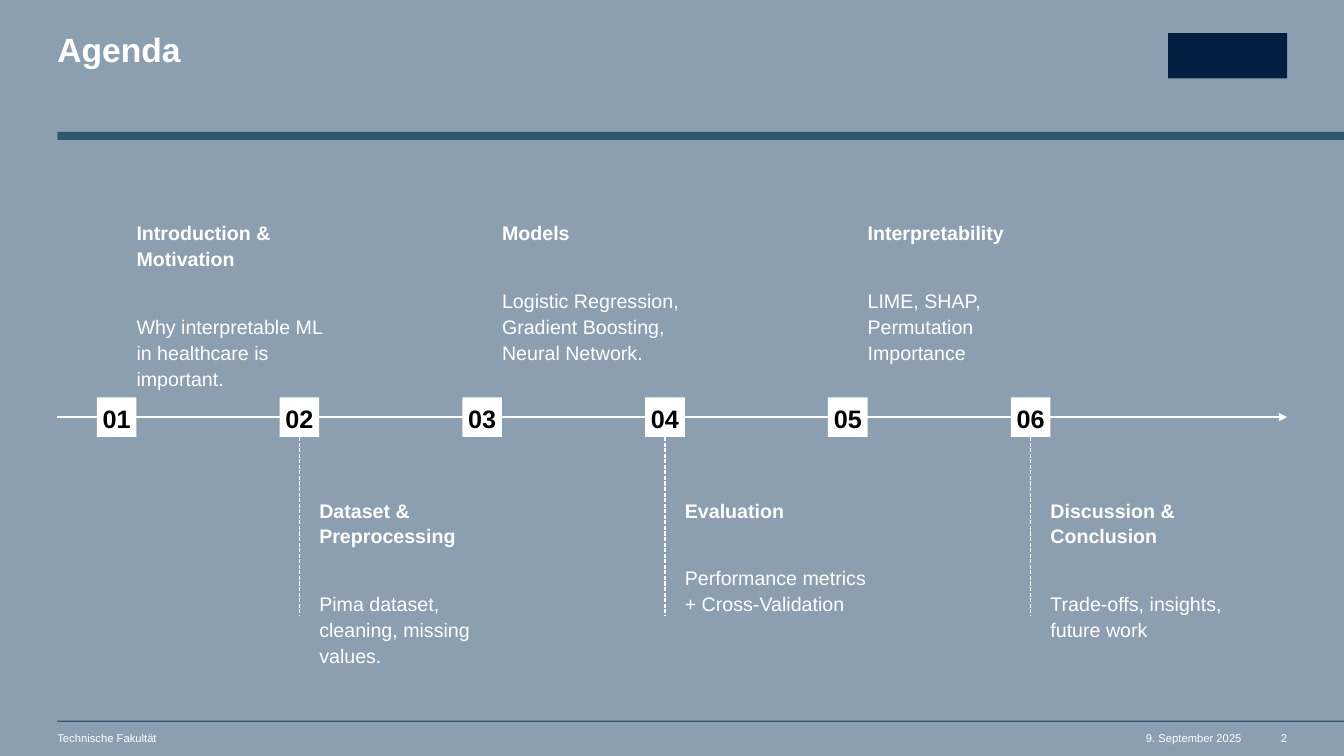
from dataclasses import dataclass

from lxml import etree
from pptx import Presentation
from pptx.dml.color import RGBColor
from pptx.enum.dml import MSO_LINE
from pptx.enum.shapes import MSO_CONNECTOR, MSO_SHAPE
from pptx.enum.text import MSO_ANCHOR, MSO_AUTO_SIZE, PP_ALIGN
from pptx.oxml.ns import qn
from pptx.slide import Slide
from pptx.text.text import TextFrame
from pptx.util import Pt

RECT, STRAIGHT = MSO_SHAPE.RECTANGLE, MSO_CONNECTOR.STRAIGHT
DASH = MSO_LINE.SQUARE_DOT
LEFT, CENTER, RIGHT = PP_ALIGN.LEFT, PP_ALIGN.CENTER, PP_ALIGN.RIGHT
TOP, MIDDLE = MSO_ANCHOR.TOP, MSO_ANCHOR.MIDDLE
NO_AUTOFIT = MSO_AUTO_SIZE.NONE

SLATE = RGBColor(0x8C, 0x9F, 0xB1)
PETROL = RGBColor(0x2F, 0x58, 0x6E)
NAVY = RGBColor(0x04, 0x1E, 0x42)
WHITE = RGBColor(0xFF, 0xFF, 0xFF)
BLACK = RGBColor(0, 0, 0)

SLIDE_W, SLIDE_H = 960, 540
MARGIN = 41
RIGHT_EDGE = 919.4
AXIS_Y = 298
BADGE = 28.3
FIRST_BADGE_X, STEP = 69.2, 130.56
ITEM_W, ITEM_H = 140.5, 85
ABOVE_Y, BELOW_Y = 156.4, 354.4
STEM_H = 127.5


@dataclass
class Item:
    heading: str
    detail: str


@dataclass
class FooterText:
    text: str
    x: float
    w: float
    align: PP_ALIGN


ITEMS = [
    Item("Introduction & Motivation", "Why interpretable ML in healthcare is important."),
    Item("Dataset & Preprocessing", "Pima dataset, cleaning, missing values."),
    Item("Models", "Logistic Regression, Gradient Boosting, Neural Network."),
    Item("Evaluation", "Performance metrics + Cross-Validation"),
    Item("Interpretability", "LIME, SHAP, Permutation Importance"),
    Item("Discussion & Conclusion", "Trade-offs, insights, future work"),
]
FOOTER = [
    FooterText("Technische Fakultät", MARGIN, 430, LEFT),
    FooterText("9. September 2025", 807, 80, RIGHT),
    FooterText("2", RIGHT_EDGE - 10, 10, RIGHT),
]


def set_frame(tf: TextFrame, anchor: MSO_ANCHOR = TOP) -> None:
    tf.margin_left = tf.margin_right = tf.margin_top = tf.margin_bottom = 0
    tf.auto_size = NO_AUTOFIT
    tf.word_wrap = True
    tf.vertical_anchor = anchor


def format_paragraph(p, size: float, color: RGBColor, bold: bool = False,
                     align: PP_ALIGN = LEFT, spacing: float = 1.0) -> None:
    p.alignment = align
    p.line_spacing = spacing
    for r in p.runs:
        r.font.name = "Arial"
        r.font.size = Pt(size)
        r.font.bold = bold
        r.font.color.rgb = color


def add_rect(s: Slide, x: float, y: float, w: float, h: float, fill: RGBColor):
    sp = s.shapes.add_shape(RECT, Pt(x), Pt(y), Pt(w), Pt(h))
    sp.shadow.inherit = False
    sp.fill.solid()
    sp.fill.fore_color.rgb = fill
    sp.line.fill.background()
    return sp


def add_line(s: Slide, x1: float, y1: float, x2: float, y2: float):
    line = s.shapes.add_connector(STRAIGHT, Pt(x1), Pt(y1), Pt(x2), Pt(y2))
    line.line.color.rgb = WHITE
    line.line.width = Pt(1)
    etree.SubElement(line._element.spPr, qn("a:effectLst"))
    return line


def add_text_frame(s: Slide, x: float, y: float, w: float, h: float) -> TextFrame:
    tf = s.shapes.add_textbox(Pt(x), Pt(y), Pt(w), Pt(h)).text_frame
    set_frame(tf)
    return tf


def add_item(s: Slide, index: int, item: Item) -> None:
    x = FIRST_BADGE_X + index * STEP
    below = index % 2 == 1

    badge = add_rect(s, x, AXIS_Y - BADGE / 2, BADGE, BADGE, WHITE)
    tf = badge.text_frame
    set_frame(tf, MIDDLE)
    tf.text = f"{index + 1:02}"
    format_paragraph(tf.paragraphs[0], 18, BLACK, True, CENTER, 1.1)

    tf = add_text_frame(s, x + BADGE, BELOW_Y if below else ABOVE_Y, ITEM_W, ITEM_H)
    tf.text = f"{item.heading}\n{item.detail}"
    heading, detail = tf.paragraphs
    format_paragraph(heading, 14, WHITE, True, spacing=1.1)
    heading.space_after = Pt(30)
    format_paragraph(detail, 14, WHITE, spacing=1.1)

    if below:
        stem_x, stem_y = x + BADGE / 2, AXIS_Y + BADGE / 2
        stem = add_line(s, stem_x, stem_y, stem_x, stem_y + STEM_H)
        stem.line.dash_style = DASH


def main() -> None:
    prs = Presentation()
    prs.slide_width, prs.slide_height = Pt(SLIDE_W), Pt(SLIDE_H)
    s = prs.slides.add_slide(prs.slide_layouts[5])
    s.background.fill.solid()
    s.background.fill.fore_color.rgb = SLATE

    # Rules and logo block
    add_rect(s, MARGIN, 514.7, SLIDE_W - MARGIN, 0.9, PETROL)
    add_rect(s, MARGIN, 94.2, SLIDE_W - MARGIN, 5.8, PETROL)
    add_rect(s, 834.4, 23.7, 85, 32.4, NAVY)

    # Title
    title = s.shapes.title
    title.left, title.top, title.width, title.height = Pt(MARGIN), Pt(23.8), Pt(539), Pt(26)
    set_frame(title.text_frame)
    title.text_frame.text = "Agenda"
    format_paragraph(title.text_frame.paragraphs[0], 24, WHITE, True, spacing=0.9)

    # Footer
    for entry in FOOTER:
        tf = add_text_frame(s, entry.x, 522.7, entry.w, 9.4)
        tf.text = entry.text
        format_paragraph(tf.paragraphs[0], 8, WHITE, align=entry.align)

    # Timeline
    axis = add_line(s, MARGIN, AXIS_Y, RIGHT_EDGE, AXIS_Y)
    etree.SubElement(axis.line._get_or_add_ln(), qn("a:tailEnd"), type="triangle")
    for index, item in enumerate(ITEMS):
        add_item(s, index, item)

    prs.save("out.pptx")


if __name__ == "__main__":
    main()
